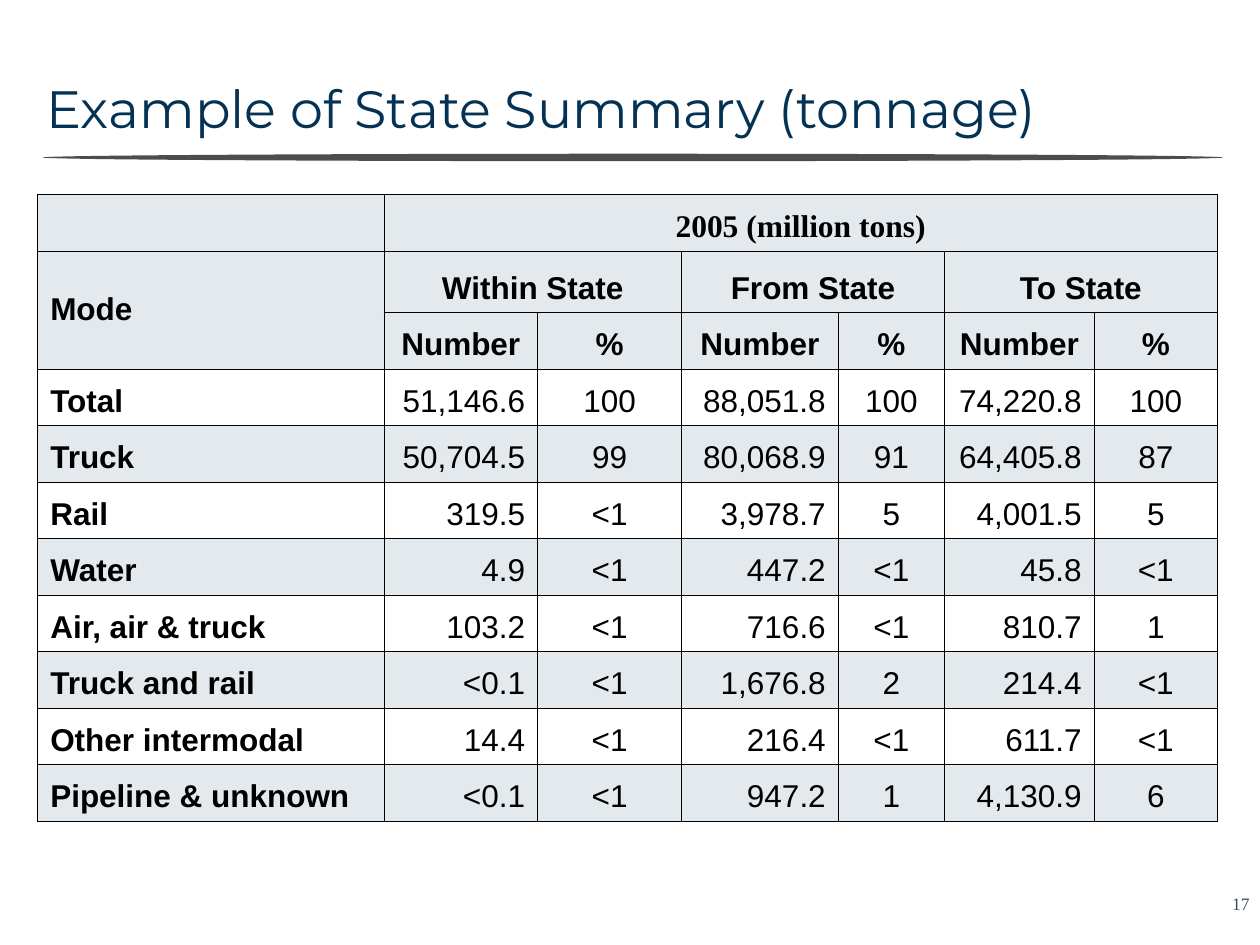
from lxml.etree import SubElement
from pptx import Presentation
from pptx.dml.color import RGBColor
from pptx.enum.shapes import MSO_SHAPE
from pptx.enum.text import MSO_ANCHOR, MSO_AUTO_SIZE, PP_ALIGN
from pptx.oxml.ns import qn
from pptx.util import Cm, Pt

NAVY, SLATE, GREY = "043254", "345160", "4D4D4D"
BLACK, WHITE, BAND = "000000", "FFFFFF", "E3E9ED"

COLUMN_WIDTHS = [6.98, 3.1, 2.9, 3.16, 2.14, 3.02, 2.48]
ROW_HEIGHT, DIRECTION_ROW_HEIGHT = 1.14, 1.24
HEADER_ROWS = 3
DIRECTIONS = ["Within State", "From State", "To State"]
TONNAGE = [
    ["Total", "51,146.6", "100", "88,051.8", "100", "74,220.8", "100"],
    ["Truck", "50,704.5", "99", "80,068.9", "91", "64,405.8", "87"],
    ["Rail", "319.5", "<1", "3,978.7", "5", "4,001.5", "5"],
    ["Water", "4.9", "<1", "447.2", "<1", "45.8", "<1"],
    ["Air, air & truck", "103.2", "<1", "716.6", "<1", "810.7", "1"],
    ["Truck and rail", "<0.1", "<1", "1,676.8", "2", "214.4", "<1"],
    ["Other intermodal", "14.4", "<1", "216.4", "<1", "611.7", "<1"],
    ["Pipeline & unknown", "<0.1", "<1", "947.2", "1", "4,130.9", "6"],
]


def color(hex_code):
    return RGBColor.from_string(hex_code)


def write(frame, text, size, font_name, hex_code, align=PP_ALIGN.LEFT, bold=False):
    frame.text = text
    paragraph = frame.paragraphs[0]
    paragraph.alignment = align
    for run in paragraph.runs:
        run.font.size = Pt(size)
        run.font.name = font_name
        run.font.bold = bold
        run.font.color.rgb = color(hex_code)


def clear_margins(frame):
    frame.margin_left = frame.margin_right = frame.margin_top = frame.margin_bottom = 0


def add_title(slide, text):
    title = slide.shapes.title
    title.left, title.top, title.width, title.height = Cm(0.94), Cm(1.68), Cm(23.72), Cm(1.14)
    frame = title.text_frame
    clear_margins(frame)
    frame.auto_size = MSO_AUTO_SIZE.NONE
    frame.vertical_anchor = MSO_ANCHOR.BOTTOM
    write(frame, text, 30, "Montserrat", NAVY)
    frame.paragraphs[0].line_spacing = 0.9


def add_title_rule(slide):
    rule = slide.shapes.add_shape(MSO_SHAPE.OVAL, Cm(0.86), Cm(3.1), Cm(23.8), Cm(0.15))
    rule.shadow.inherit = False
    rule.fill.solid()
    rule.fill.fore_color.rgb = color(GREY)
    rule.line.fill.background()


def style_cell(cell, fill):
    """Give the cell thin black borders, a plain fill and bottom-set text."""
    properties = cell._tc.get_or_add_tcPr()
    for side in ("a:lnL", "a:lnR", "a:lnT", "a:lnB"):
        border = SubElement(properties, qn(side), w=str(Pt(0.45)))
        SubElement(SubElement(border, qn("a:solidFill")), qn("a:srgbClr"), val=BLACK)
    cell.fill.solid()
    cell.fill.fore_color.rgb = color(fill)
    cell.vertical_anchor = MSO_ANCHOR.BOTTOM


def write_header(cell, text, font_name="Arial", align=PP_ALIGN.CENTER):
    write(cell.text_frame, text, 18, font_name, BLACK, align, True)


def fill_headers(table):
    last_column = len(COLUMN_WIDTHS) - 1
    table.cell(0, 1).merge(table.cell(0, last_column))
    write_header(table.cell(0, 1), "2005 (million tons)", "Times New Roman")

    mode = table.cell(1, 0)
    mode.merge(table.cell(2, 0))
    mode.vertical_anchor = MSO_ANCHOR.MIDDLE
    write_header(mode, "Mode", align=PP_ALIGN.LEFT)

    for index, direction in enumerate(DIRECTIONS):
        column = 1 + 2 * index
        table.cell(1, column).merge(table.cell(1, column + 1))
        write_header(table.cell(1, column), direction)
        write_header(table.cell(2, column), "Number")
        write_header(table.cell(2, column + 1), "%")


def fill_tonnage(table):
    for row, values in enumerate(TONNAGE, HEADER_ROWS):
        for column, value in enumerate(values):
            if column == 0:
                align = PP_ALIGN.LEFT
            else:
                align = PP_ALIGN.RIGHT if column % 2 else PP_ALIGN.CENTER
            write(table.cell(row, column).text_frame, value, 18, "Arial", BLACK,
                  align, bold=column == 0)


def add_tonnage_table(slide):
    row_count = HEADER_ROWS + len(TONNAGE)
    height = ROW_HEIGHT * (row_count - 1) + DIRECTION_ROW_HEIGHT
    table = slide.shapes.add_table(row_count, len(COLUMN_WIDTHS), Cm(0.76), Cm(3.92),
                                   Cm(sum(COLUMN_WIDTHS)), Cm(height)).table
    for column, width in zip(table.columns, COLUMN_WIDTHS):
        column.width = Cm(width)
    for index, row in enumerate(table.rows):
        row.height = Cm(DIRECTION_ROW_HEIGHT if index == 1 else ROW_HEIGHT)
        banded = index < HEADER_ROWS or index % 2 == 0
        for cell in row.cells:
            style_cell(cell, BAND if banded else WHITE)
    fill_headers(table)
    fill_tonnage(table)


def add_page_number(slide, number):
    frame = slide.shapes.add_textbox(Cm(23.62), Cm(18.01), Cm(1.57), Cm(0.89)).text_frame
    frame.word_wrap = True
    clear_margins(frame)
    write(frame, number, 10, "Times New Roman", SLATE, PP_ALIGN.RIGHT)


def main():
    presentation = Presentation()
    presentation.slide_width, presentation.slide_height = Cm(25.4), Cm(19.05)
    slide = presentation.slides.add_slide(presentation.slide_layouts[5])
    add_title_rule(slide)
    add_title(slide, "Example of State Summary (tonnage)")
    add_tonnage_table(slide)
    add_page_number(slide, "17")
    presentation.save("out.pptx")


if __name__ == "__main__":
    main()
